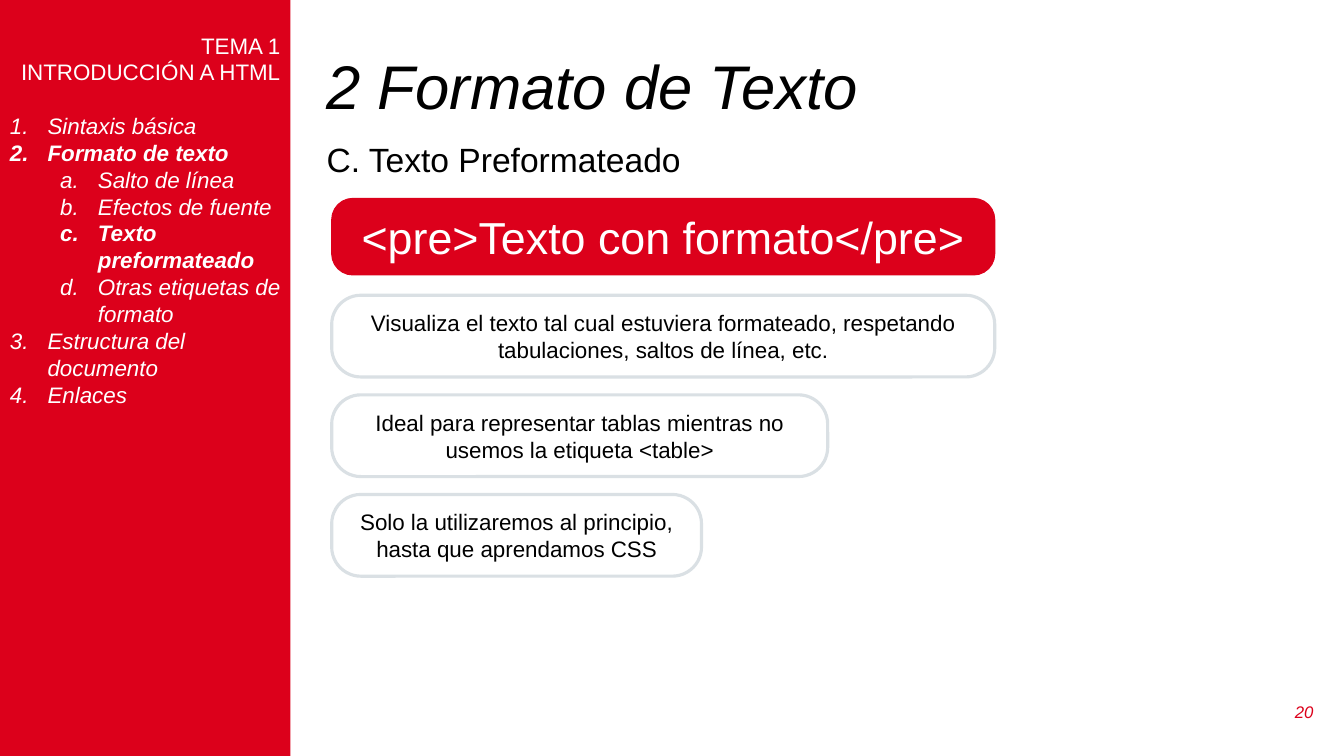
"""Build the slide on preformatted text in HTML."""
from lxml import etree
from pptx import Presentation
from pptx import util as u
from pptx.dml.color import RGBColor
from pptx.enum import shapes, text
from pptx.oxml.ns import qn

RED = "DC001B"
GREY = "DAE0E4"
WHITE = "FFFFFF"
BLACK = "000000"
LEFT, CENTER, RIGHT = text.PP_ALIGN.LEFT, text.PP_ALIGN.CENTER, text.PP_ALIGN.RIGHT


def rgb(value):
    return RGBColor.from_string(value)


def write(para, words, size=16, color=BLACK, align=LEFT, bold=False, italic=False):
    para.alignment = align
    span = para.add_run()
    span.text = words
    span.font.name = "Arial"
    span.font.size = u.Pt(size)
    span.font.bold = bold
    span.font.italic = italic
    span.font.color.rgb = rgb(color)


deck = Presentation()
deck.slide_width, deck.slide_height = u.Cm(33.87), u.Cm(19.05)
page = deck.slides.add_slide(deck.slide_layouts[6])

sidebar = page.shapes.add_shape(shapes.MSO_SHAPE.RECTANGLE, 0, 0, u.Cm(7.32), deck.slide_height)
sidebar.shadow.inherit = False
sidebar.fill.solid()
sidebar.fill.fore_color.rgb = rgb(RED)
sidebar.line.fill.background()
frame = sidebar.text_frame
frame.word_wrap = True
frame.vertical_anchor = text.MSO_ANCHOR.TOP
frame.margin_top = u.Cm(0.8)
write(frame.paragraphs[0], "TEMA 1", color=WHITE, align=RIGHT)
write(frame.add_paragraph(), "INTRODUCCIÓN A HTML", color=WHITE, align=RIGHT)

contents = [
    (0, "Sintaxis básica", False),
    (0, "Formato de texto", True),
    (1, "Salto de línea", False),
    (1, "Efectos de fuente", False),
    (1, "Texto preformateado", True),
    (1, "Otras etiquetas de formato", False),
    (0, "Estructura del documento", False),
    (0, "Enlaces", False),
]
for index, (level, words, current) in enumerate(contents):
    para = frame.add_paragraph()
    para.level = level
    if index == 0:
        para.space_before = u.Pt(19)
    props = para._p.get_or_add_pPr()
    props.set("marL", str(u.Cm(0.95 + 1.27 * level)))
    props.set("indent", str(u.Cm(-0.95)))
    number = etree.SubElement(props, qn("a:buAutoNum"))
    number.set("type", ("arabicPeriod", "alphaLcPeriod")[level])
    write(para, words, color=WHITE, bold=current, italic=True)

labels = [
    ("2 Formato de Texto", (7.98, 1.27, 25.37, 1.98), 0.9, dict(size=44, italic=True)),
    ("C. Texto Preformateado", (7.98, 3.38, 18.95, 1.27), 1.0, dict(size=24)),
    ("20", (32.05, 17.42, 1.3, 1.02), 1.0, dict(size=12, color=RED, align=RIGHT, italic=True)),
]
for words, place, spacing, style in labels:
    box = page.shapes.add_textbox(*map(u.Cm, place))
    box.text_frame.word_wrap = True
    box.text_frame.vertical_anchor = text.MSO_ANCHOR.MIDDLE
    para = box.text_frame.paragraphs[0]
    para.line_spacing = spacing
    write(para, words, **style)

white_note = dict(fill=None, line=GREY, weight=2.25, corner=0.357)
red_note = dict(fill=RED, line=RED, weight=0.75, corner=0.277)
notes = [
    ("<pre>Texto con formato</pre>", 5.0, 16.71, 1.93, red_note, dict(size=32, color=WHITE)),
]
details = [
    ("Visualiza el texto tal cual estuviera formateado, respetando tabulaciones, saltos de línea, etc.", 16.71),
    ("Ideal para representar tablas mientras no usemos la etiqueta <table>", 12.5),
    ("Solo la utilizaremos al principio, hasta que aprendamos CSS", 9.32),
]
for row, (words, width) in enumerate(details):
    notes.append((words, 7.44 + 2.51 * row, width, 2.06, white_note, {}))

for words, top, width, height, look, style in notes:
    note = page.shapes.add_shape(
        shapes.MSO_SHAPE.ROUNDED_RECTANGLE, u.Cm(8.36), u.Cm(top), u.Cm(width), u.Cm(height))
    note.shadow.inherit = False
    note.adjustments[0] = look["corner"]
    if look["fill"]:
        note.fill.solid()
        note.fill.fore_color.rgb = rgb(look["fill"])
    else:
        note.fill.background()
    note.line.color.rgb = rgb(look["line"])
    note.line.width = u.Pt(look["weight"])
    note.text_frame.word_wrap = True
    note.text_frame.vertical_anchor = text.MSO_ANCHOR.MIDDLE
    write(note.text_frame.paragraphs[0], words, align=CENTER, **style)

deck.save("out.pptx")
